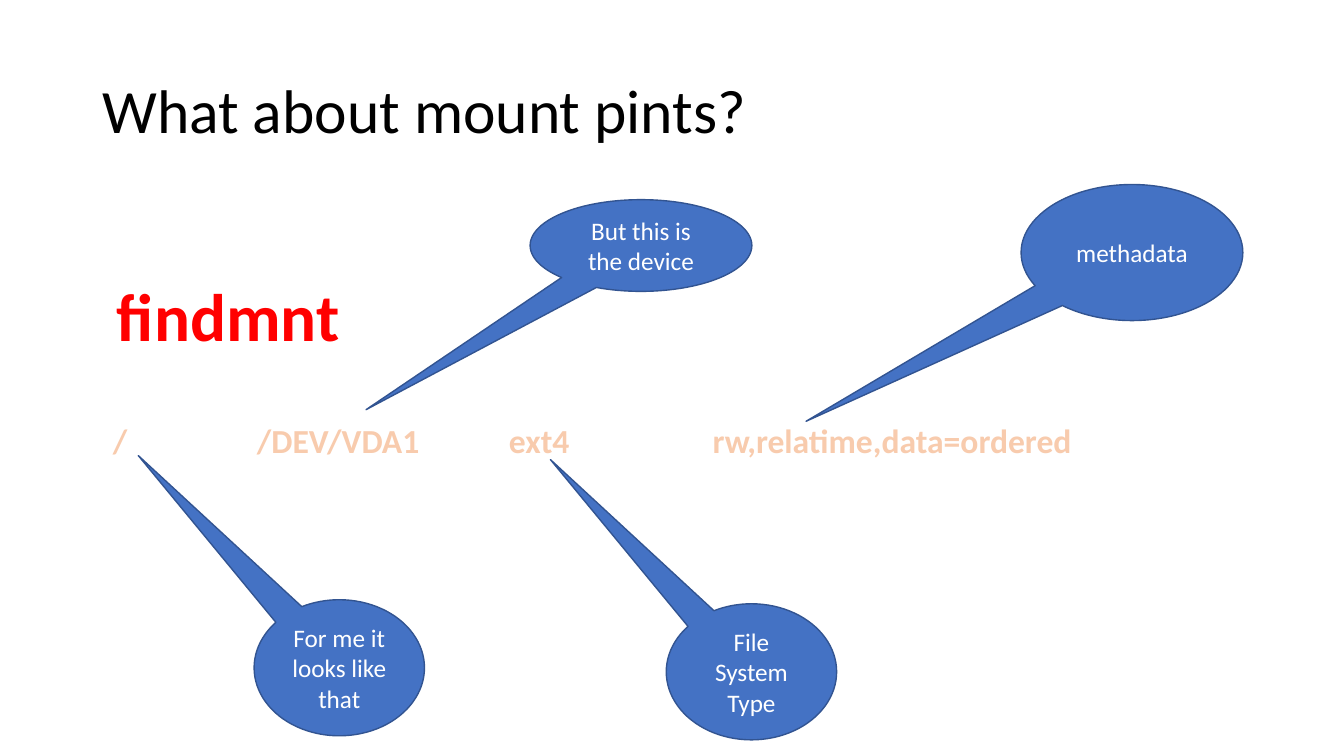
from lxml import etree
from pptx import Presentation
from pptx.dml.color import RGBColor
from pptx.enum.shapes import MSO_SHAPE
from pptx.enum.text import MSO_ANCHOR, MSO_AUTO_SIZE, PP_ALIGN
from pptx.oxml.ns import qn
from pptx.util import Pt

CALLOUT = MSO_SHAPE.OVAL_CALLOUT
TOP, MIDDLE = MSO_ANCHOR.TOP, MSO_ANCHOR.MIDDLE
LEFT, CENTER = PP_ALIGN.LEFT, PP_ALIGN.CENTER
NO_AUTOFIT = MSO_AUTO_SIZE.NONE

BLACK = RGBColor(0x00, 0x00, 0x00)
WHITE = RGBColor(0xFF, 0xFF, 0xFF)
RED = RGBColor(0xFF, 0x00, 0x00)
PEACH = RGBColor(0xF8, 0xCB, 0xAD)
BLUE = RGBColor(0x44, 0x72, 0xC4)
DARK_BLUE = RGBColor(0x32, 0x54, 0x91)

FONT = "Calibri"
TITLE_ONLY = 5

# Mount point, device, file system type and options
MOUNT_FIELDS = ["/", "/DEV/VDA1", "ext4", "rw,relatime,data=ordered"]
MOUNT_TABS = [103, 283, 428.5]

# Text, left, top, width, height, tip offset as shares of width and height
CALLOUTS = [
    ("For me it looks like that", 181.5, 428.4, 121.7, 97.2, (-1.18, -1.56)),
    ("But this is the device", 378.7, 142.6, 158.4, 65.5, (-1.24, 1.79)),
    ("File System Type", 475.9, 431.3, 121.7, 97.2, (-1.18, -1.56)),
    ("methadata", 729.4, 131.8, 158.4, 97.2, (-1.47, 1.24)),
]


def place(shape, left, top, width, height):
    shape.left, shape.top = Pt(left), Pt(top)
    shape.width, shape.height = Pt(width), Pt(height)


def write_text(shape, text, size, color, bold=False, align=LEFT, anchor=TOP,
               line_spacing=None, tabs=()):
    frame = shape.text_frame
    frame.word_wrap = True
    frame.auto_size = NO_AUTOFIT
    frame.vertical_anchor = anchor
    paragraph = frame.paragraphs[0]
    paragraph.alignment = align
    paragraph.line_spacing = line_spacing
    if tabs:
        properties = paragraph._p.get_or_add_pPr()
        tab_list = etree.SubElement(properties, qn("a:tabLst"))
        for position in tabs:
            etree.SubElement(tab_list, qn("a:tab"), pos=str(Pt(position)), algn="l")
    run = paragraph.add_run()
    run.text = text
    run.font.name = FONT
    run.font.size = Pt(size)
    run.font.bold = bold
    run.font.color.rgb = color


def add_text(slide, text, left, top, width, height, **text_format):
    box = slide.shapes.add_textbox(Pt(left), Pt(top), Pt(width), Pt(height))
    write_text(box, text, **text_format)


def add_callout(slide, text, left, top, width, height, tip):
    shape = slide.shapes.add_shape(CALLOUT, Pt(left), Pt(top), Pt(width), Pt(height))
    shape.adjustments[0], shape.adjustments[1] = tip
    shape.shadow.inherit = False
    shape.fill.solid()
    shape.fill.fore_color.rgb = BLUE
    shape.line.color.rgb = DARK_BLUE
    shape.line.width = Pt(1)
    write_text(shape, text, size=18, color=WHITE, align=CENTER, anchor=MIDDLE)


def main():
    presentation = Presentation()
    presentation.slide_width, presentation.slide_height = Pt(960), Pt(540)
    slide = presentation.slides.add_slide(presentation.slide_layouts[TITLE_ONLY])

    # Title
    title = slide.shapes.title
    place(title, 66, 28.8, 828, 104.4)
    write_text(title, "What about mount pints?", size=44, color=BLACK,
               anchor=MIDDLE, line_spacing=0.9)

    # Command and its output
    add_text(slide, "findmnt", 76.5, 192.2, 175.7, 65.5, size=48, color=RED, bold=True)
    add_text(slide, "\t".join(MOUNT_FIELDS), 73.5, 296.1, 704, 36.5,
             size=24, color=PEACH, bold=True, tabs=MOUNT_TABS)

    # Explanations
    for callout in CALLOUTS:
        add_callout(slide, *callout)

    presentation.save("out.pptx")


if __name__ == "__main__":
    main()
